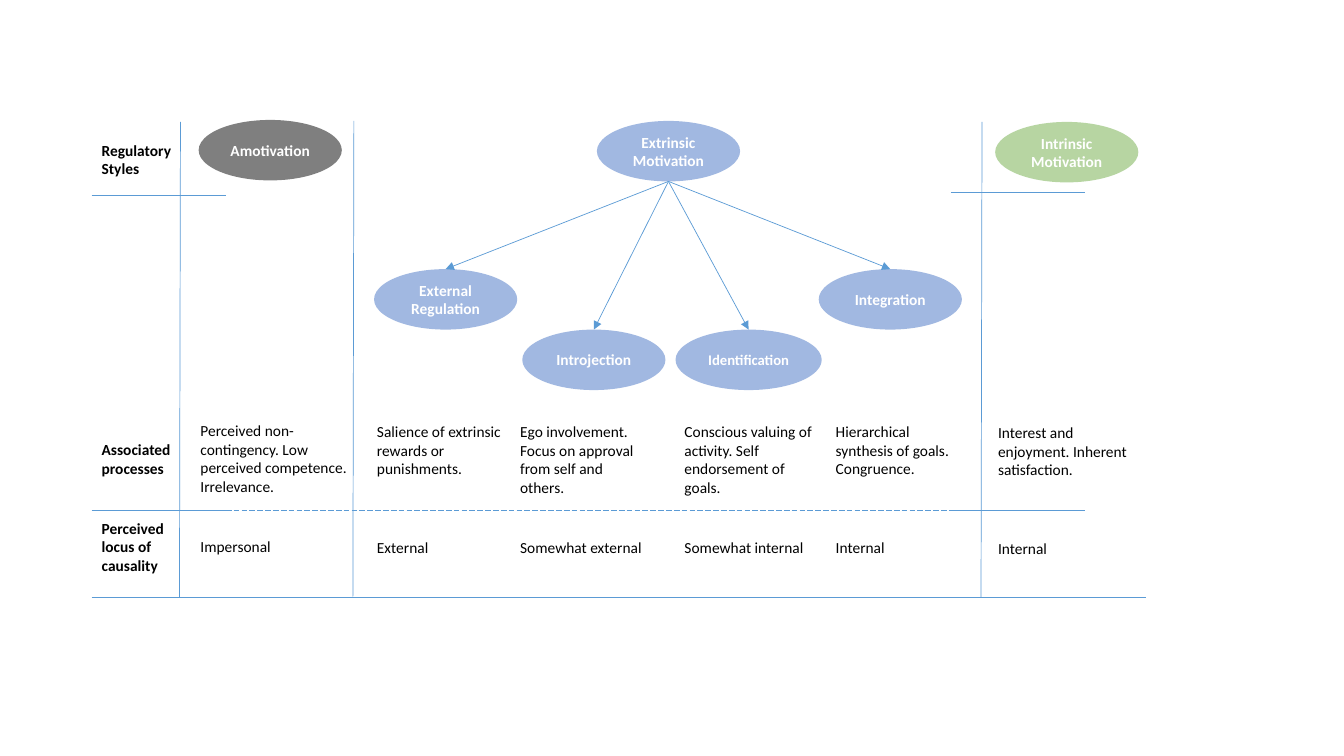
from lxml import etree
from pptx import Presentation
from pptx import util as u
from pptx.dml.color import RGBColor
from pptx.enum import dml, shapes, text
from pptx.oxml.ns import qn

# Content: columns as (left, top shift, width, process, locus)
COLS = [
    (1.89, -.01, 1.7, "Perceived non-contingency. Low perceived competence. Irrelevance.",
     "Impersonal"),
    (3.64, 0, 1.49, "Salience of extrinsic rewards or punishments.", "External"),
    (5.06, 0, 1.49, "Ego involvement. Focus on approval from self and others.",
     "Somewhat external"),
    (6.69, 0, 1.49, "Conscious valuing of activity. Self endorsement of goals.",
     "Somewhat internal"),
    (8.19, 0, 1.49, "Hierarchical synthesis of goals. Congruence.", "Internal"),
    (9.8, .01, 1.49, "Interest and enjoyment. Inherent satisfaction.", "Internal"),
]
HEADS = [  # top, width, height, paragraphs
    (1.35, 1.7, .47, ["Regulatory", "Styles"]),
    (4.32, 1.7, .47, ["Associated", "processes"]),
    (5.1, 1.05, .66, ["Perceived locus of causality"]),
]
BLUE, GREEN, BLACK, WHITE, RULE = "4472C4", "70AD47", "000000", "FFFFFF", "5B9BD5"
ROOT = ("Extrinsic Motivation", 5.92, 1.2, 1.42, BLUE, 11)
KINDS = [  # label, left, top, width, colour, size
    ("External Regulation", 3.71, 2.67, 1.42, BLUE, 11),
    ("Introjection", 5.18, 3.27, 1.42, BLUE, 11),
    ("Identification", 6.7, 3.27, 1.45, BLUE, 10.5),
    ("Integration", 8.12, 2.67, 1.42, BLUE, 11),
]
ENDS = [
    ("Amotivation", 1.97, 1.19, 1.42, BLACK, 11),
    ("Intrinsic Motivation", 9.87, 1.21, 1.42, GREEN, 11),
]
TALL = .6  # height of every oval

# Grid
LEFT, RIGHT = .91, 11.37
TOP, MID, END = 1.21, 5.06, 5.93
STUB, FAR = 2.24, 9.43
REACH = STUB - LEFT
PROC, LOCUS = 4.14, 5.29

deck = Presentation()
deck.slide_width, deck.slide_height = u.Inches(13.33), u.Inches(7.5)
page = deck.slides.add_slide(deck.slide_layouts[6]).shapes


def paint(hue):
    return RGBColor.from_string(hue)


def write(frame, paras, size, hue, bold, align):
    frame.word_wrap = True
    for i, words in enumerate(paras):
        para = frame.paragraphs[0] if i == 0 else frame.add_paragraph()
        para.alignment = align
        run = para.add_run()
        run.text = words
        font = run.font
        font.name, font.size, font.bold = "Calibri", u.Pt(size), bold
        font.color.rgb = paint(hue)


def label(x, y, w, h, paras, bold=False):
    frame = page.add_textbox(*map(u.Inches, (x, y, w, h))).text_frame
    write(frame, paras, 11, BLACK, bold, text.PP_ALIGN.LEFT)
    frame.auto_size = text.MSO_AUTO_SIZE.SHAPE_TO_FIT_TEXT


def oval(name, x, y, w, hue, size):
    item = page.add_shape(shapes.MSO_SHAPE.OVAL, *map(u.Inches, (x, y, w, TALL)))
    item.shadow.inherit = False
    item.fill.solid()
    item.fill.fore_color.rgb = paint(hue)
    tint = item.fill._xPr.find(".//" + qn("a:srgbClr"))
    etree.SubElement(tint, qn("a:alpha"), val="50000")
    item.line.fill.background()
    item.text_frame.vertical_anchor = text.MSO_ANCHOR.MIDDLE
    write(item.text_frame, [name], size, WHITE, True, text.PP_ALIGN.CENTER)


def rule(x1, y1, x2, y2, dash=False, arrow=False):
    item = page.add_connector(shapes.MSO_CONNECTOR.STRAIGHT,
                              *map(u.Inches, (x1, y1, x2, y2)))
    item.line.color.rgb = paint(RULE)
    item.line.width = u.Pt(.5)
    if dash:
        item.line.dash_style = dml.MSO_LINE.LONG_DASH
    if arrow:
        etree.SubElement(item.line._get_or_add_ln(), qn("a:tailEnd"), type="triangle")
    etree.SubElement(item._element.spPr, qn("a:effectLst"))


# Column rules, leaning slightly
for x, rise in ((1.79, 0), (3.51, .01), (9.74, 0)):
    rule(x, TOP - rise, x - .01, END - rise)

# Ovals, and arrows from the root to each kind
for item in (*KINDS, *ENDS, ROOT):
    oval(*item)
for name, x, y, w, hue, size in KINDS:
    rule(ROOT[1] + ROOT[3] / 2, ROOT[2] + TALL, x + w / 2, y, arrow=True)

# Row heads and cells
for y, w, h, paras in HEADS:
    label(LEFT, y, w, h, paras, True)
for x, shift, w, process, locus in COLS:
    label(x, PROC + shift, w, .84 if len(process) > 50 else .66, [process])
    label(x, LOCUS + shift, w, .29, [locus])

# Row rules
for x, y in ((LEFT, 1.94), (LEFT, MID), (FAR, 1.91), (FAR, MID)):
    rule(x, y, x + REACH, y)
rule(STUB, MID, FAR, MID, dash=True)
rule(LEFT, END, RIGHT, END)

deck.save("out.pptx")
